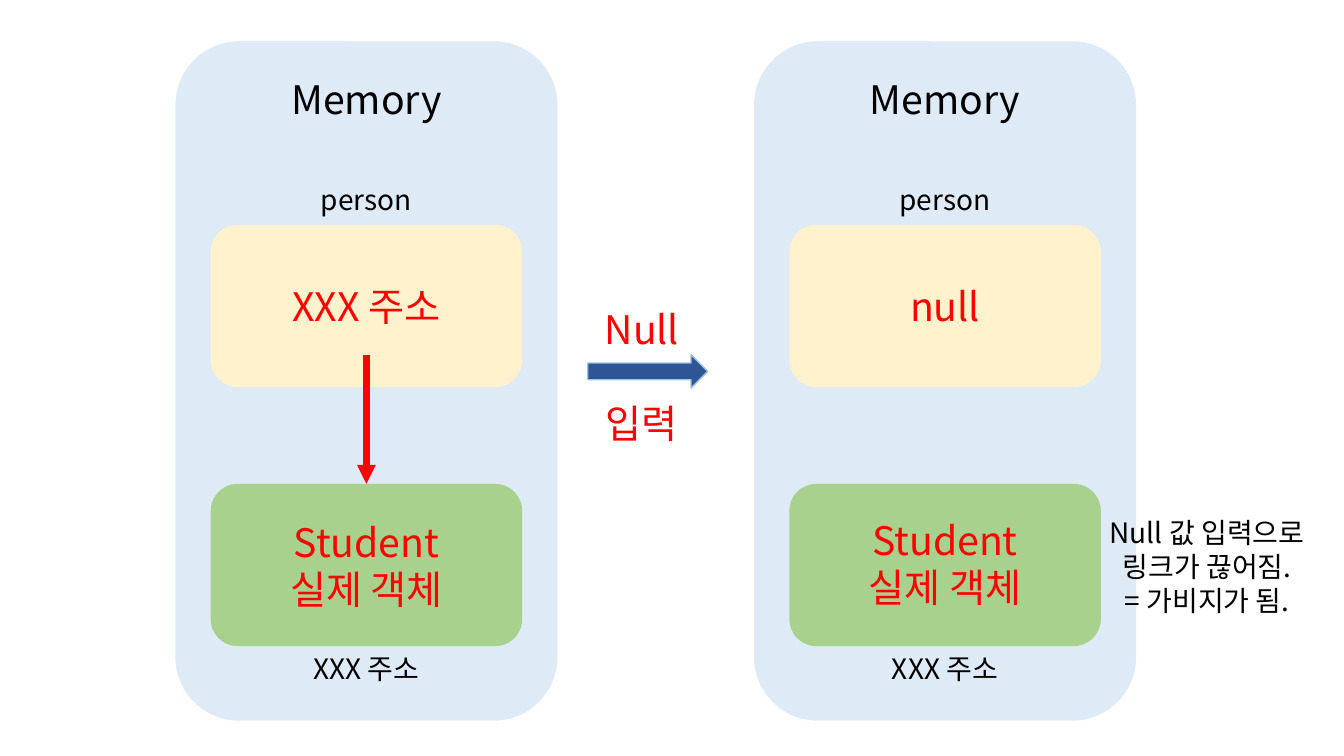
from lxml.etree import SubElement
from pptx import Presentation
from pptx.dml.color import RGBColor
from pptx.enum.shapes import MSO_CONNECTOR, MSO_SHAPE
from pptx.enum.text import PP_ALIGN
from pptx.oxml.ns import qn
from pptx.util import Pt

FONT = "Noto Sans CJK KR"
PANEL_BLUE = RGBColor(0xDE, 0xEB, 0xF7)
REFERENCE_YELLOW = RGBColor(0xFF, 0xF2, 0xCC)
OBJECT_GREEN = RGBColor(0xA9, 0xD1, 0x8E)
ARROW_BLUE = RGBColor(0x2F, 0x55, 0x97)
ARROW_EDGE = RGBColor(0x9D, 0xC3, 0xE6)
RED = RGBColor(0xFF, 0, 0)
BLACK = RGBColor(0, 0, 0)

# Content: what each memory panel holds, and the top of its object label
MEMORIES = [("XXX 주소", 366.5), ("null", 365)]
OBJECT = ["Student", "실제 객체"]
ACTION = ["Null", "입력"]
NOTE = ["Null 값 입력으로", "링크가 끊어짐.", "= 가비지가 됨."]

# Layout in points
PANEL_LEFT, PANEL_TOP, PANEL_W, PANEL_H = 125.3, 29.5, 272.9, 485.3
PANEL_STEP = 413.3
BOX_W, BOX_H = 222.5, 115.9
REFERENCE_TOP, OBJECT_TOP = 160.6, 345.6
LABEL_W = 172.8
BIG, SMALL = 28, 20

deck = Presentation()
deck.slide_width, deck.slide_height = Pt(960), Pt(540)
slide = deck.slides.add_slide(deck.slide_layouts[6])


def add_block(kind, left, top, width, height, fill, edge=None):
    block = slide.shapes.add_shape(kind, Pt(left), Pt(top), Pt(width), Pt(height))
    block.shadow.inherit = False
    block.fill.solid()
    block.fill.fore_color.rgb = fill
    if edge is None:
        block.line.fill.background()
    else:
        block.line.color.rgb = edge
        block.line.width = Pt(1)


def add_label(lines, center, top, height, size, color, width=LABEL_W, gap=0):
    label = slide.shapes.add_textbox(
        Pt(center - width / 2), Pt(top), Pt(width), Pt(height))
    frame = label.text_frame
    frame.word_wrap = True
    for number, line in enumerate(lines):
        paragraph = frame.add_paragraph() if number else frame.paragraphs[0]
        paragraph.alignment = PP_ALIGN.CENTER
        if number and gap:
            paragraph.space_before = Pt(gap)
        run = paragraph.add_run()
        run.text = line
        run.font.size = Pt(size)
        run.font.color.rgb = color
        run.font.name = FONT
        SubElement(run.font._element, qn("a:ea"), typeface=FONT)


# Memory panels before and after
for number, (reference, object_label_top) in enumerate(MEMORIES):
    left = PANEL_LEFT + number * PANEL_STEP
    center = left + PANEL_W / 2
    box_left = center - BOX_W / 2
    rounded = MSO_SHAPE.ROUNDED_RECTANGLE
    add_block(rounded, left, PANEL_TOP, PANEL_W, PANEL_H, PANEL_BLUE)
    add_block(rounded, box_left, REFERENCE_TOP, BOX_W, BOX_H, REFERENCE_YELLOW)
    add_block(rounded, box_left, OBJECT_TOP, BOX_W, BOX_H, OBJECT_GREEN)
    add_label(["Memory"], center, 50.4, 41, BIG, BLACK)
    add_label(["person"], center, 126.7, 31.7, SMALL, BLACK)
    add_label([reference], center, 198, 41, BIG, RED)
    add_label(OBJECT, center, object_label_top, 75, BIG, RED)
    add_label(["XXX 주소"], center, 461.5, 31.7, SMALL, BLACK)

# Link from the reference to the object
link_x = Pt(PANEL_LEFT + PANEL_W / 2)
link = slide.shapes.add_connector(
    MSO_CONNECTOR.STRAIGHT, link_x, Pt(253.4), link_x, Pt(OBJECT_TOP))
link.line.color.rgb = RED
link.line.width = Pt(4.5)
SubElement(link.line._get_or_add_ln(), qn("a:tailEnd"), type="triangle")
SubElement(link._element.spPr, qn("a:effectLst"))

# Step between the panels, and its consequence
add_block(MSO_SHAPE.RIGHT_ARROW, 419.8, 253.4, 85.7, 23.8, ARROW_BLUE, ARROW_EDGE)
add_label(ACTION, 458.6, 214.6, 108.7, BIG, RED, gap=33.6)
add_label(NOTE, 862.2, 365, 80, SMALL, BLACK, width=195)

deck.save("out.pptx")
